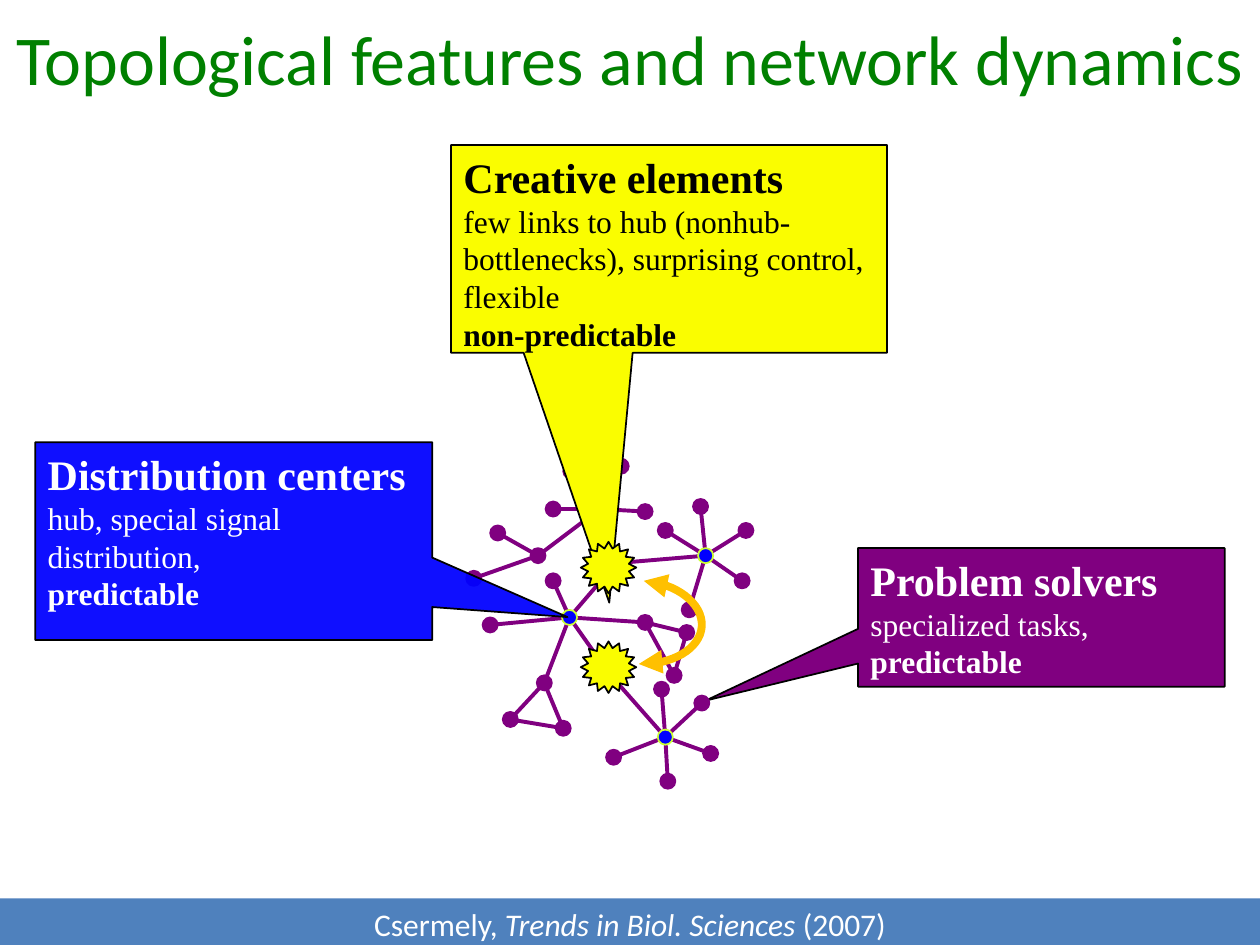
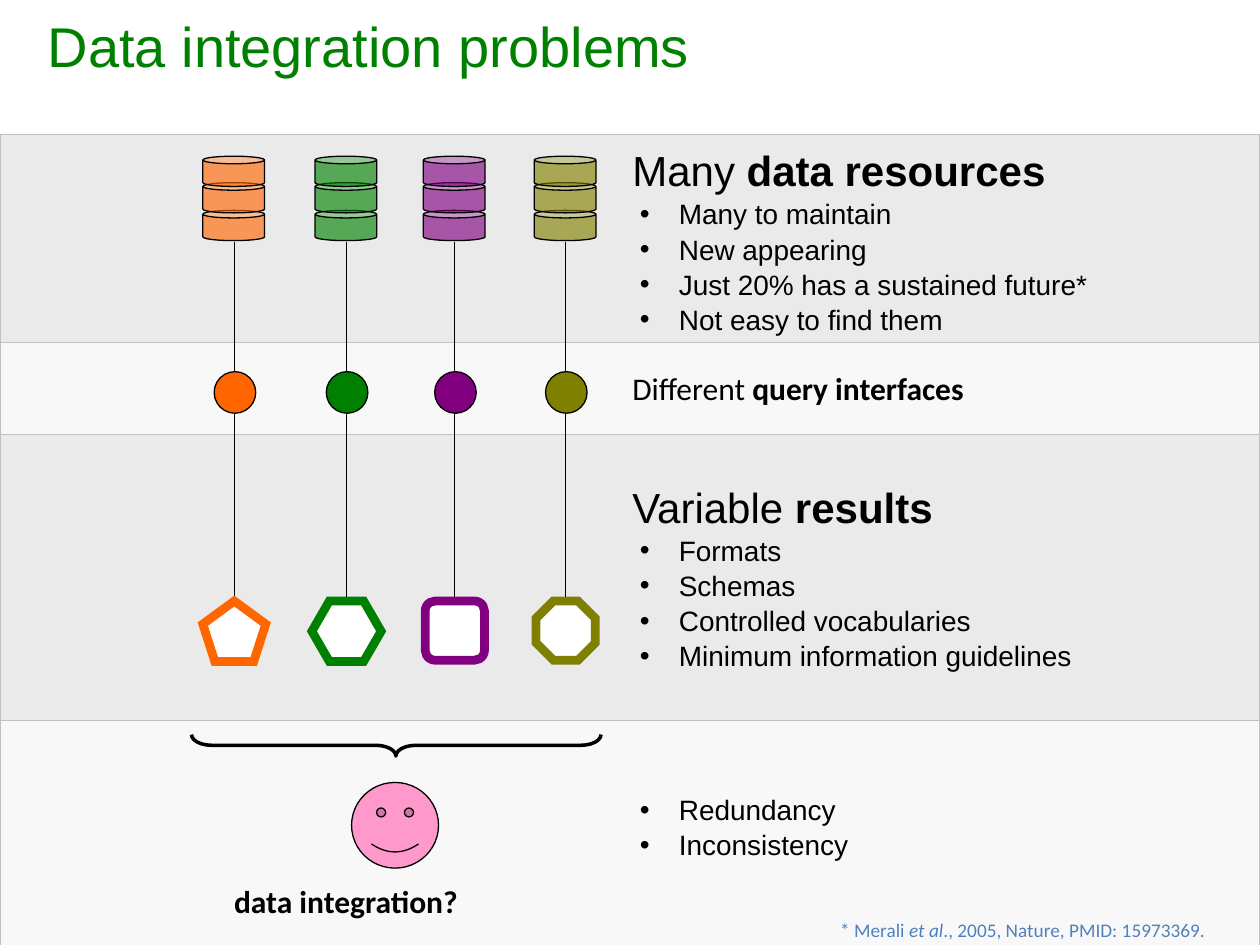
from lxml import etree
from pptx import Presentation
from pptx.dml.color import RGBColor
from pptx.enum.shapes import MSO_CONNECTOR as Connector, MSO_SHAPE as Shape
from pptx.enum.text import MSO_ANCHOR as Anchor, MSO_AUTO_SIZE as AutoSize, PP_ALIGN as Align
from pptx.oxml.ns import qn
from pptx.util import Inches, Pt

COLOURS = {
    "black": "000000", "white": "FFFFFF", "green": "008000", "purple": "800080",
    "blue": "0000FF", "lime": "CCFF33", "yellow": "FAFD00", "amber": "FFC000",
    "cream": "FFFF99", "steel": "4F81BD", "orange": "FF6600", "olive": "808000",
    "pink": "FF99CC", "band": "EAEAEA", "light band": "F8F8F8", "band line": "C0C0C0",
}


def paint(item, fill=None, line=None, weight=1.0, alpha=100):
    """Set fill and line of a shape or connector and take its shadow away."""
    if hasattr(item, "fill"):
        item.shadow.inherit = False
        if fill:
            item.fill.solid()
            item.fill.fore_color.rgb = RGBColor.from_string(COLOURS[fill])
            if alpha < 100:
                colour = item._element.spPr.find(".//" + qn("a:srgbClr"))
                etree.SubElement(colour, qn("a:alpha"), val=str(alpha * 1000))
        else:
            item.fill.background()
    else:
        etree.SubElement(item._element.spPr, qn("a:effectLst"))
    if line:
        item.line.color.rgb = RGBColor.from_string(COLOURS[line])
        item.line.width = Pt(weight)
    else:
        item.line.fill.background()


def write(para, text, font, size, colour, bold=False, italic=False):
    span = para.add_run()
    span.text = text
    span.font.name = font
    span.font.size = Pt(size)
    span.font.bold = bold
    span.font.italic = italic
    span.font.color.rgb = RGBColor.from_string(COLOURS[colour])


deck = Presentation()
deck.slide_width, deck.slide_height = Inches(10), Inches(7.5)

TITLES = [
    ("Topological features and network dynamics", "Calibri", 40, Align.CENTER, (0, 0, 10, 0.92)),
    ("Data integration problems", "Arial", 32, Align.LEFT, (0.28, 0.04, 9, 0.64)),
]
pages = []
for text, font, size, align, place in TITLES:
    page = deck.slides.add_slide(deck.slide_layouts[5])
    title = page.shapes.title
    title.left, title.top, title.width, title.height = [Inches(value) for value in place]
    title.text_frame.auto_size = AutoSize.NONE
    title.text_frame.vertical_anchor = Anchor.MIDDLE
    para = title.text_frame.paragraphs[0]
    para.alignment = align
    write(para, text, font, size, "green")
    pages.append(page)
network_page, data_page = pages

# Network: node centres, then the links between them
HUBS = {"north": (4.76, 4.04), "west": (4.52, 4.9), "east": (5.6, 4.41), "south": (5.28, 5.85)}
CREATIVE = {"upper": (4.89, 4.47), "lower": (4.83, 5.34)}
SOLVERS = {
    "n1": (4.39, 4.04), "n2": (4.53, 3.74), "n3": (4.93, 3.7), "n4": (5.12, 4.06),
    "branch": (4.27, 4.41), "b1": (3.95, 4.23), "b2": (3.76, 4.59),
    "w1": (4.39, 4.61), "w2": (3.89, 4.96),
    "fork": (4.32, 5.42), "f1": (4.05, 5.71), "f2": (4.47, 5.78),
    "ring": (5.12, 4.94), "r1": (5.45, 5.02), "r2": (5.35, 5.36),
    "e1": (5.28, 4.21), "e2": (5.56, 4.02), "e3": (5.92, 4.21), "e4": (5.89, 4.61),
    "e5": (5.47, 4.84),
    "s1": (5.25, 5.47), "s2": (5.57, 5.58), "s3": (5.64, 5.98), "s4": (5.3, 6.2),
    "s5": (4.87, 6.01),
}
LINKS = {
    "north": "n1 n2 n3 n4 branch upper",
    "branch": "b1 b2",
    "west": "w1 w2 fork ring upper lower",
    "fork": "f1 f2",
    "f1": "f2",
    "ring": "r1 r2",
    "r1": "r2",
    "east": "e1 e2 e3 e4 e5 upper",
    "south": "s1 s2 s3 s4 s5 lower",
}
NODE = 0.12
centres = {**HUBS, **CREATIVE, **SOLVERS}
for start, ends in LINKS.items():
    for end in ends.split():
        link = network_page.shapes.add_connector(
            Connector.STRAIGHT, *[Inches(value) for value in centres[start] + centres[end]])
        paint(link, line="purple", weight=2.25)
for nodes, fill, line in [(SOLVERS, "purple", "purple"), (CREATIVE, "amber", "cream"),
                          (HUBS, "blue", "lime")]:
    for x, y in nodes.values():
        node = network_page.shapes.add_shape(
            Shape.OVAL, Inches(x - NODE / 2), Inches(y - NODE / 2), Inches(NODE), Inches(NODE))
        paint(node, fill, line)

CALLOUTS = [
    ((3.58, 1.15, 3.46, 1.65), (-0.137, 1.702), "yellow", 100, "black", "Creative elements ",
     "few links to hub (nonhub-bottlenecks), surprising control, flexible", "non-predictable"),
    ((0.28, 3.51, 3.15, 1.57), (0.841, 0.384), "blue", 94, "white", "Distribution centers ",
     "hub, special signal distribution,", "predictable"),
    ((6.81, 4.35, 2.91, 1.1), (-0.916, 0.601), "purple", 100, "white", "Problem solvers ",
     "specialized tasks, ", "predictable"),
]
for place, tip, fill, alpha, ink, heading, description, verdict in CALLOUTS:
    callout = network_page.shapes.add_shape(
        Shape.RECTANGULAR_CALLOUT, *[Inches(value) for value in place])
    callout.adjustments[0], callout.adjustments[1] = tip
    paint(callout, fill, "black", 1, alpha)
    frame = callout.text_frame
    frame.word_wrap = True
    frame.vertical_anchor = Anchor.TOP
    para = frame.paragraphs[0]
    para.alignment = Align.LEFT
    write(para, heading, "Times New Roman", 24, ink, bold=True)
    para.add_line_break()
    write(para, description, "Times New Roman", 18, ink)
    para = frame.add_paragraph()
    para.alignment = Align.LEFT
    write(para, verdict, "Times New Roman", 18, ink, bold=True)
# The problem solvers' callout lies behind the network
network_page.shapes._spTree.insert(2, callout._element)

for top in (4.3, 5.09):
    star = network_page.shapes.add_shape(
        Shape.STAR_16_POINT, Inches(4.61), Inches(top), Inches(0.44), Inches(0.41))
    paint(star, "yellow", "black")

# Double-headed bow between the stars, two Bezier curves
CURVES = [
    [(5.07, 5.27), (5.33, 5.28), (5.56, 5.15), (5.57, 4.97)],
    [(5.57, 4.97), (5.58, 4.79), (5.37, 4.63), (5.11, 4.61)],
]
STEPS = 16
bow_points = []
for curve in CURVES:
    for step in range(1, STEPS + 1):
        t = step / STEPS
        weights = [(1 - t) ** 3, 3 * t * (1 - t) ** 2, 3 * t ** 2 * (1 - t), t ** 3]
        bow_points.append(tuple(
            Inches(sum(weight * point[axis] for weight, point in zip(weights, curve)))
            for axis in (0, 1)))
builder = network_page.shapes.build_freeform(*[Inches(value) for value in CURVES[0][0]])
builder.add_line_segments(bow_points, close=False)
bow = builder.convert_to_shape()
paint(bow, line="amber", weight=4.5)
for end in ("a:headEnd", "a:tailEnd"):
    etree.SubElement(bow.line._get_or_add_ln(), qn(end), type="triangle")

footer = network_page.shapes.add_shape(
    Shape.RECTANGLE, Inches(0), Inches(7.13), Inches(10), Inches(0.4))
paint(footer, "steel")
para = footer.text_frame.paragraphs[0]
para.alignment = Align.CENTER
write(para, "Csermely, ", "Calibri", 18, "white")
write(para, "Trends in Biol. Sciences ", "Calibri", 18, "white", italic=True)
write(para, "(2007)", "Calibri", 18, "white")

# Data integration: bands
BAND_EDGES = [1.07, 2.72, 3.45, 5.72, 7.53]
for index, (top, bottom) in enumerate(zip(BAND_EDGES, BAND_EDGES[1:])):
    band = data_page.shapes.add_shape(
        Shape.RECTANGLE, Inches(0), Inches(top), Inches(10), Inches(bottom - top))
    paint(band, "light band" if index % 2 else "band", "band line", 0.75)

# One column for each resource: database, query interface, result
RESOURCES = [
    (1.86, "orange", Shape.REGULAR_PENTAGON, 0.5, 0.48),
    (2.75, "green", Shape.HEXAGON, 0.55, 0.48),
    (3.61, "purple", Shape.ROUNDED_RECTANGLE, 0.47, 0.47),
    (4.49, "olive", Shape.OCTAGON, 0.47, 0.47),
]
for centre, colour, preset, width, height in RESOURCES:
    for top in (1.67, 1.45, 1.24):
        disk = data_page.shapes.add_shape(
            Shape.CAN, Inches(centre - 0.25), Inches(top), Inches(0.49), Inches(0.24))
        paint(disk, colour, "black", 0.75, 63)
    stem = data_page.shapes.add_connector(
        Connector.STRAIGHT, Inches(centre), Inches(1.92), Inches(centre), Inches(4.92))
    paint(stem, line="black", weight=0.75)
    interface = data_page.shapes.add_shape(
        Shape.OVAL, Inches(centre - 0.16), Inches(2.95), Inches(0.33), Inches(0.33))
    paint(interface, colour, "black", 0.75)
    result = data_page.shapes.add_shape(
        preset, Inches(centre - width / 2), Inches(4.77), Inches(width), Inches(height))
    if preset == Shape.HEXAGON:
        result.adjustments[0] = 0.289
    paint(result, "white", colour, 5)
    etree.SubElement(result.line._get_or_add_ln(), qn("a:miter"), lim="800000")

brace = data_page.shapes.add_shape(
    Shape.LEFT_BRACE, Inches(3.06), Inches(4.29), Inches(0.17), Inches(3.25))
brace.rotation = 270
brace.adjustments[0], brace.adjustments[1] = 0.937, 0.499
paint(brace, line="black", weight=2)

face = data_page.shapes.add_shape(
    Shape.SMILEY_FACE, Inches(2.79), Inches(6.21), Inches(0.69), Inches(0.68))
paint(face, "pink", "black", 0.75)

# Notes: place, font, size, colour, heading runs as (text, bold, italic), bullets
NOTES = [
    ((4.92, 1.1, 5, 1.58), "Arial", 24, "black",
     [("Many ", False, False), ("data resources", True, False)],
     ["Many to maintain", "New appearing", "Just 20% has a sustained future*",
      "Not easy to find them"]),
    ((4.92, 2.88, 4.16, 0.5), "Calibri", 18, "black",
     [("Different ", False, False), ("query interfaces", True, False)], []),
    ((4.92, 3.77, 4.5, 1.58), "Arial", 24, "black",
     [("Variable ", False, False), ("results", True, False)],
     ["Formats", "Schemas", "Controlled vocabularies", "Minimum information guidelines"]),
    ((4.92, 6.23, 2.5, 0.64), "Arial", 16, "black", [], ["Redundancy", "Inconsistency"]),
    ((1.76, 6.95, 2.93, 0.5), "Calibri", 18, "black", [("data integration?", True, False)], []),
    ((6.57, 7.24, 3.43, 0.29), "Calibri", 11, "steel",
     [("* Merali ", False, False), ("et al", False, True),
      ("., 2005, Nature, PMID: 15973369.", False, False)], []),
]
for place, font, size, colour, heading, bullets in NOTES:
    box = data_page.shapes.add_textbox(*[Inches(value) for value in place])
    frame = box.text_frame
    frame.word_wrap = True
    para = frame.paragraphs[0]
    for text, bold, italic in heading:
        write(para, text, font, size, colour, bold, italic)
    for index, text in enumerate(bullets):
        if heading or index:
            para = frame.add_paragraph()
        para.line_spacing = 1.05
        properties = para._p.get_or_add_pPr()
        properties.set("marL", str(Inches(0.37)))
        properties.set("indent", str(Inches(-0.31)))
        etree.SubElement(properties, qn("a:buFont"), typeface="Arial")
        etree.SubElement(properties, qn("a:buChar"), char="•")
        write(para, text, font, 16, colour)

deck.save("out.pptx")
